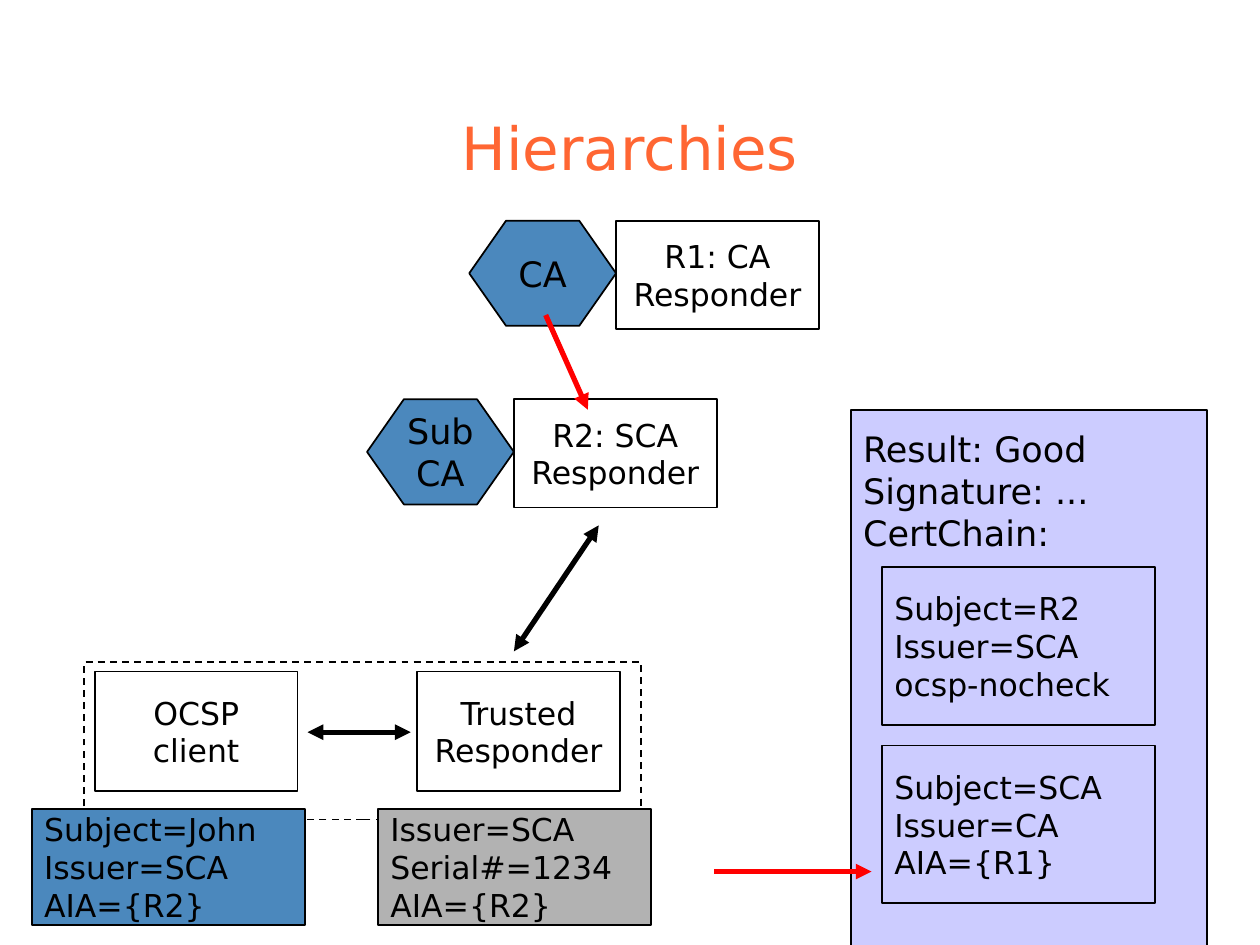
import dataclasses
import pptx
import pptx.dml.color
import pptx.enum.dml
import pptx.enum.shapes
import pptx.enum.text
import pptx.oxml.ns
import pptx.util
import lxml.etree

Cm = pptx.util.Cm
Pt = pptx.util.Pt
Kind = pptx.enum.shapes.MSO_SHAPE
Align = pptx.enum.text.PP_ALIGN
Anchor = pptx.enum.text.MSO_ANCHOR


@dataclasses.dataclass(frozen=True)
class Theme:
    font: str = "DejaVu Sans"
    head: str = "FF6633"
    ink: str = "000000"
    white: str = "FFFFFF"
    blue: str = "4B88BD"
    gray: str = "B2B2B2"
    lilac: str = "CCCCFF"
    red: str = "FF0000"
    title: int = 34
    large: int = 20
    small: int = 18
    thin: int = 1
    thick: int = 3


def tint(code):
    return pptx.dml.color.RGBColor.from_string(code)


class Page:
    def __init__(self, slide, theme):
        self.slide = slide
        self.theme = theme

    def label(self, frame, paras, size, color, align, anchor, top=0.13):
        frame.margin_left = frame.margin_right = Cm(0.25)
        frame.margin_top, frame.margin_bottom = Cm(top), Cm(0.13)
        frame.vertical_anchor = anchor
        for i, text in enumerate(paras):
            para = frame.add_paragraph() if i else frame.paragraphs[0]
            para.alignment = align
            for j, line in enumerate(text.split("\n")):
                if j:
                    para.add_line_break()
                run = para.add_run()
                run.text = line
                run.font.name = self.theme.font
                run.font.size = Pt(size)
                run.font.color.rgb = tint(color)

    def title(self, text, x, y, w, h):
        box = self.slide.shapes.add_textbox(Cm(x), Cm(y), Cm(w), Cm(h))
        box.text_frame.word_wrap = True
        self.label(box.text_frame, [text], self.theme.title, self.theme.head,
                   Align.CENTER, Anchor.BOTTOM)

    def shape(self, x, y, w, h, fill=None, kind=Kind.RECTANGLE):
        item = self.slide.shapes.add_shape(kind, Cm(x), Cm(y), Cm(w), Cm(h))
        item.shadow.inherit = False
        if fill:
            item.fill.solid()
            item.fill.fore_color.rgb = tint(fill)
        else:
            item.fill.background()
        item.line.color.rgb = tint(self.theme.ink)
        item.line.width = Pt(self.theme.thin)
        item.text_frame.word_wrap = False
        return item

    def frame(self, x, y, w, h):
        item = self.shape(x, y, w, h)
        item.line.dash_style = pptx.enum.dml.MSO_LINE.DASH

    def node(self, x, y, h, paras, fill=None):
        item = self.shape(x, y, 4.09, h, fill)
        self.label(item.text_frame, paras, self.theme.small, self.theme.ink,
                   Align.CENTER, Anchor.MIDDLE)

    def issuer(self, x, y, name, paras):
        self.node(x, y, 2.18, paras, self.theme.white)
        width = 2.96
        item = self.shape(x - width, y, width, 2.12, self.theme.blue, Kind.HEXAGON)
        item.adjustments[0] = 0.35
        self.label(item.text_frame, [name], self.theme.large, self.theme.ink,
                   Align.CENTER, Anchor.MIDDLE)

    def cert(self, x, y, h, paras, fill):
        item = self.shape(x, y, 5.51, h, fill)
        self.label(item.text_frame, paras, self.theme.small, self.theme.ink,
                   Align.LEFT, Anchor.MIDDLE)

    def panel(self, x, y, w, h, text):
        item = self.shape(x, y, w, h, self.theme.lilac)
        self.label(item.text_frame, [text], self.theme.large, self.theme.ink,
                   Align.LEFT, Anchor.TOP, 0.36)

    def arrow(self, start, end, color, ends=("tailEnd",)):
        line = self.slide.shapes.add_connector(
            pptx.enum.shapes.MSO_CONNECTOR.STRAIGHT, *map(Cm, start + end))
        line.line.color.rgb = tint(color)
        line.line.width = Pt(self.theme.thick)
        qn = pptx.oxml.ns.qn
        props = line._element.spPr
        for tag in ends:
            lxml.etree.SubElement(props.find(qn("a:ln")), qn("a:" + tag), type="triangle")
        lxml.etree.SubElement(props, qn("a:effectLst"))


def main():
    deck = pptx.Presentation()
    deck.slide_width, deck.slide_height = Cm(25.4), Cm(19.05)
    theme = Theme()
    page = Page(deck.slides.add_slide(deck.slide_layouts[6]), theme)
    both = ("headEnd", "tailEnd")

    page.title("Hierarchies", 1.9, 1.7, 21.6, 2.11)

    page.node(8.41, 13.54, 2.41, ["Trusted\nResponder"])
    page.node(1.91, 13.54, 2.41, ["OCSP", "client"])
    page.arrow((8.28, 14.76), (6.2, 14.76), theme.ink, both)
    page.frame(1.7, 13.34, 11.23, 3.18)

    page.issuer(12.42, 4.45, "CA", ["R1: CA", "Responder"])
    page.issuer(10.36, 8.05, "Sub\nCA", ["R2: SCA\nResponder"])

    page.cert(0.64, 16.31, 2.34, ["Subject=John", "Issuer=SCA\nAIA={R2}"], theme.blue)
    page.arrow((10.36, 13.13), (12.07, 10.59), theme.ink, both)
    page.cert(7.62, 16.31, 2.34, ["Issuer=SCA\nSerial#=1234\nAIA={R2}"], theme.gray)

    page.panel(17.15, 8.26, 7.19, 10.8, "Result: Good\nSignature: ...\nCertChain:")
    chain = [["Subject=R2", "Issuer=SCA\nocsp-nocheck"],
             ["Subject=SCA", "Issuer=CA\nAIA={R1}"]]
    for i, paras in enumerate(chain):
        page.cert(17.78, 11.43 + 3.6 * i, 3.18, paras, theme.lilac)

    page.arrow((14.4, 17.57), (17.57, 17.57), theme.red)
    page.arrow((11, 6.35), (11.85, 8.26), theme.red)

    deck.save("out.pptx")


if __name__ == "__main__":
    main()
